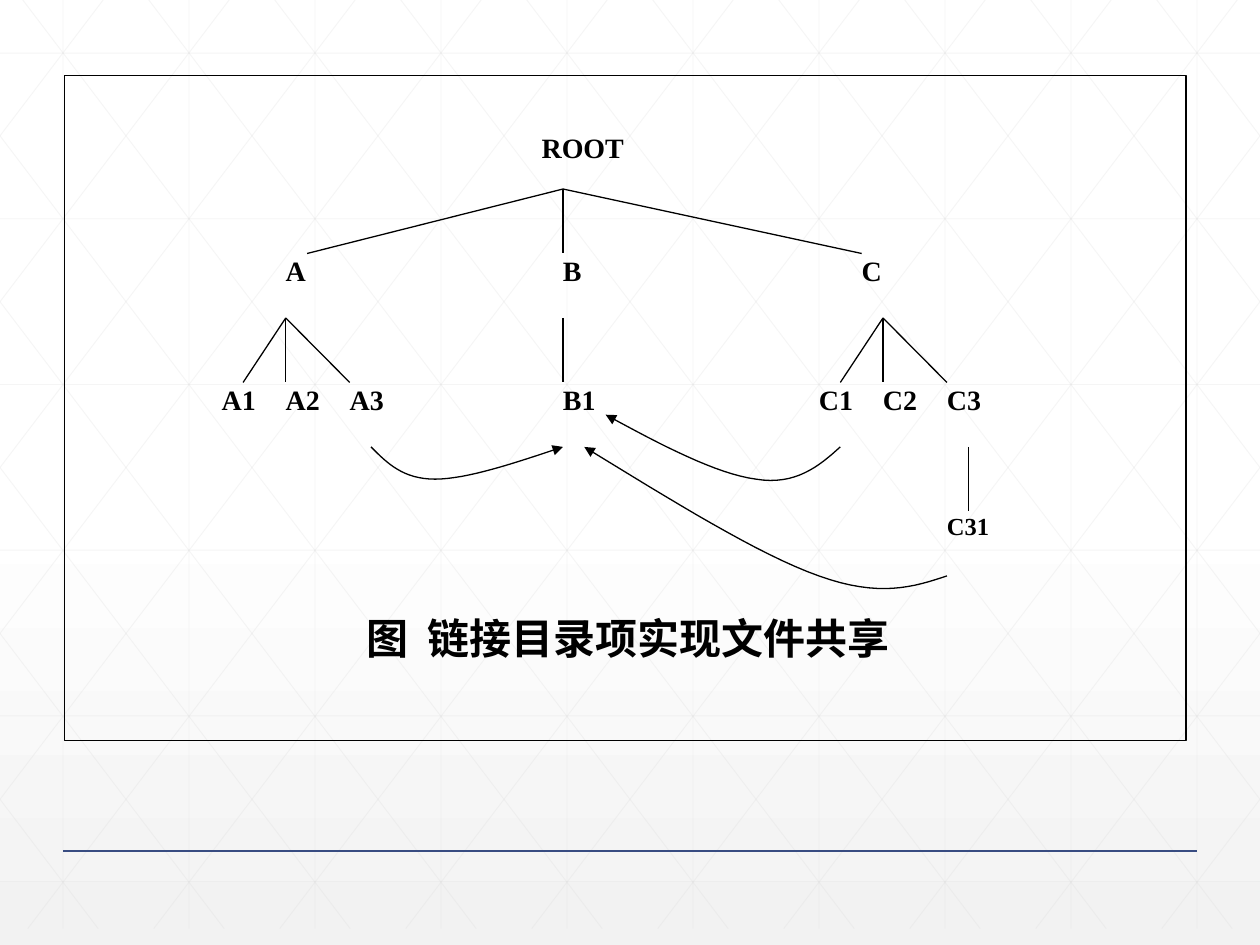
from lxml.etree import SubElement
from pptx import Presentation
from pptx.dml.color import RGBColor
from pptx.enum.shapes import MSO_CONNECTOR, MSO_SHAPE
from pptx.enum.text import MSO_ANCHOR, PP_ALIGN
from pptx.oxml.ns import qn
from pptx.util import Cm, Pt

COLORS = {"ink": "000000", "lattice": "D9D9D9", "rule": "384C81", "top": "FFFFFF", "bottom": "F2F2F2"}
FONT = "Times New Roman"
SLIDE_WIDTH, SLIDE_HEIGHT = 25.4, 19.05
COLUMN, ROW = 0.43, 1.3

NODES = [
    ("B", 0, 1), ("C", 14, 1), ("A", -13, 1),
    ("A1", -16, 3), ("A2", -13, 3), ("A3", -10, 3), ("B1", 0, 3),
    ("C1", 12, 3), ("C2", 15, 3), ("C3", 18, 3),
]
BRANCHES = [
    ((0, 0), [(-12, 1), (14, 1), (0, 1)]),
    ((-13, 2), [(-15, 3), (-10, 3), (-13, 3)]),
    ((0, 2), [(0, 3)]),
    ((15, 2), [(13, 3), (18, 3), (15, 3)]),
    ((19, 4), [(19, 5)]),
]
LINKS = [
    [(18, 6), (16.45, 6.17), (14.85, 6.34), (12, 6), (9.17, 5.67), (5.1, 4.83), (1, 4)],
    [(-9, 4), (-8.25, 4.25), (-7.5, 4.5), (-6, 4.5), (-4.5, 4.5), (-2.25, 4.25), (0, 4)],
    [(13, 4), (12, 4.3), (10.9, 4.6), (9.05, 4.5), (7.2, 4.42), (4.6, 3.97), (2, 3.5)],
]


def rgb(name):
    """Return the palette colour of that name."""
    return RGBColor.from_string(COLORS[name])


def add_text(shapes, text, left, top, width, height, size=16, align=PP_ALIGN.JUSTIFY, insets=(0, 0)):
    """Add a bold text box, with side and top insets in centimetres."""
    box = shapes.add_textbox(Cm(left), Cm(top), Cm(width), Cm(height))
    frame = box.text_frame
    frame.word_wrap = True
    frame.vertical_anchor = MSO_ANCHOR.TOP
    frame.margin_left = frame.margin_right = Cm(insets[0])
    frame.margin_top = frame.margin_bottom = Cm(insets[1])
    paragraph = frame.paragraphs[0]
    paragraph.alignment = align
    run = paragraph.add_run()
    run.text = text
    run.font.name, run.font.size, run.font.bold = FONT, Pt(size), True
    run.font.color.rgb = rgb("ink")


def add_line(shapes, start, end, color="ink", width=0.75, opacity=None):
    """Add a straight connector between two points in centimetres."""
    line = shapes.add_connector(MSO_CONNECTOR.STRAIGHT, *(Cm(value) for value in (*start, *end)))
    line.line.color.rgb = rgb(color)
    line.line.width = Pt(width)
    if opacity is not None:
        tint = line.line.fill._xPr.find(".//" + qn("a:srgbClr"))
        SubElement(tint, qn("a:alpha"), val=str(opacity * 1000))
    SubElement(line._element.spPr, qn("a:effectLst"))


def bezier(controls, steps=16):
    """Return points along one cubic curve, leaving out its start."""
    points = []
    for step in range(1, steps + 1):
        t = step / steps
        weights = ((1 - t) ** 3, 3 * t * (1 - t) ** 2, 3 * t * t * (1 - t), t ** 3)
        points.append(tuple(sum(w * p[axis] for w, p in zip(weights, controls)) for axis in (0, 1)))
    return points


def add_link(shapes, controls):
    """Add a curved arrow through two joined cubic curves."""
    route = bezier(controls[:4]) + bezier(controls[3:])
    builder = shapes.build_freeform(Cm(controls[0][0]), Cm(controls[0][1]))
    builder.add_line_segments([(Cm(x), Cm(y)) for x, y in route], close=False)
    link = builder.convert_to_shape()
    link.shadow.inherit = False
    link.fill.background()
    link.line.color.rgb = rgb("ink")
    link.line.width = Pt(0.75)
    SubElement(link.line._get_or_add_ln(), qn("a:tailEnd"), type="triangle")


def add_backdrop(slide, width, height):
    """Lay the gradient, the faint lattice and the footer rule."""
    fill = slide.background.fill
    fill.gradient()
    fill.gradient_angle = 270
    for stop, position, color in zip(fill.gradient_stops, (0.53, 1), ("top", "bottom")):
        stop.position = position
        stop.color.rgb = rgb(color)

    step, run, offset = 2.54, 14.22, 0.46
    lines = [((step * (k + 0.5), 0), (step * (k + 0.5), height)) for k in range(10)]
    lines += [((0, 1.07 + 3.34 * k), (width, 1.07 + 3.34 * k)) for k in range(6)]
    for k in range(-5, 10):
        first = offset + step * k
        x1, x2 = max(first, 0), min(first + run, width)
        y1, y2 = ((x - first) * height / run for x in (x1, x2))
        lines += [((x1, y1), (x2, y2)), ((width - x1, y1), (width - x2, y2))]
    lattice = slide.shapes.add_group_shape().shapes
    for start, end in lines:
        add_line(lattice, start, end, "lattice", 0.5, 25)
    add_line(slide.shapes, (1.27, 17.15), (width - 1.27, 17.15), "rule", 1)


def add_directory_tree(slide, left, top, width, height):
    """Draw the framed directory tree, its shared links and caption."""
    shapes = slide.shapes
    frame = shapes.add_shape(MSO_SHAPE.RECTANGLE, Cm(left), Cm(top), Cm(width), Cm(height))
    frame.shadow.inherit = False
    frame.fill.background()
    frame.line.color.rgb = rgb("ink")
    frame.line.width = Pt(0.75)

    def at(column, row):
        """Turn a tree position into slide centimetres."""
        return left + 10.05 + column * COLUMN, top + 2.29 + row * ROW

    add_text(shapes, "ROOT", *at(-1, -1), 4 * COLUMN, 1.5 * ROW, insets=(0, 0.13))
    for label, column, row in NODES:
        add_text(shapes, label, *at(column, row), len(label) * COLUMN, ROW)
    add_text(shapes, "C31", *at(18, 5), 2 * COLUMN, ROW, size=14)
    for parent, children in BRANCHES:
        for child in children:
            add_line(shapes, at(*parent), at(*child))
    for controls in LINKS:
        add_link(shapes, [at(*point) for point in controls])
    add_text(shapes, "图  链接目录项实现文件共享", left + 4.06, top + 10.7, 14.6, 2.59,
             size=24, align=PP_ALIGN.CENTER, insets=(0.25, 0.13))


def main():
    """Build and save the slide."""
    deck = Presentation()
    deck.slide_width, deck.slide_height = Cm(SLIDE_WIDTH), Cm(SLIDE_HEIGHT)
    slide = deck.slides.add_slide(deck.slide_layouts[6])
    add_backdrop(slide, SLIDE_WIDTH, 18.72)
    add_directory_tree(slide, 1.3, 1.52, 22.61, 13.41)
    deck.save("out.pptx")


if __name__ == "__main__":
    main()
